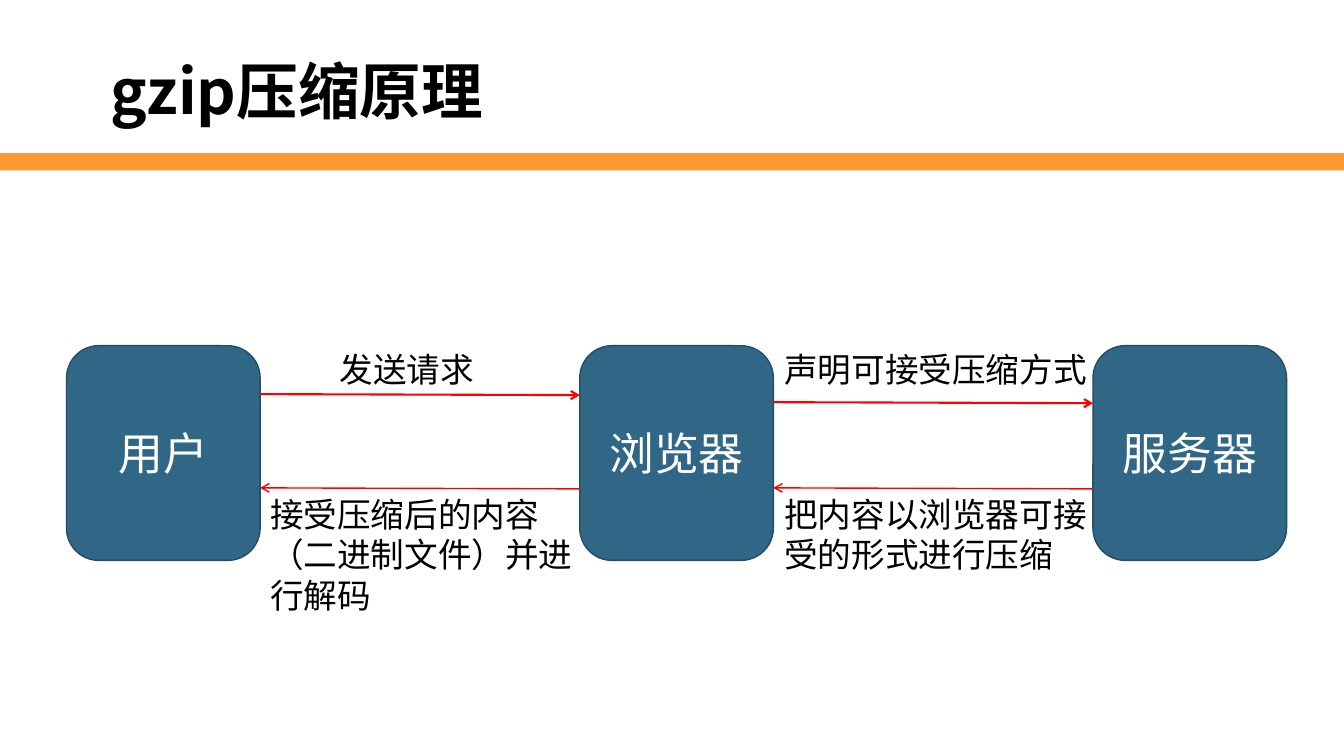
from lxml.etree import SubElement
from pptx import Presentation
from pptx.dml.color import RGBColor
from pptx.enum.shapes import MSO_CONNECTOR, MSO_SHAPE
from pptx.enum.text import MSO_ANCHOR, MSO_AUTO_SIZE, PP_ALIGN
from pptx.oxml.ns import qn
from pptx.util import Inches, Pt

ORANGE = RGBColor(0xFF, 0x99, 0x33)
BLUE = RGBColor(0x30, 0x67, 0x86)
DARK_BLUE = RGBColor(0x24, 0x4C, 0x63)
RED = RGBColor(0xFF, 0x00, 0x00)
BLACK = RGBColor(0x00, 0x00, 0x00)
WHITE = RGBColor(0xFF, 0xFF, 0xFF)
CJK_FONT = "Noto Sans CJK SC"

NODE_LEFT, NODE_TOP = 0.66, 3.43
NODE_WIDTH, NODE_HEIGHT = 1.92, 2.13
COLUMN_PITCH = 5.09
REPLY_TOP = 4.85


def write(shape, text, size, color, latin=CJK_FONT, align=PP_ALIGN.LEFT, bold=False):
    shape.text_frame.text = text
    shape.text_frame.word_wrap = True
    paragraph = shape.text_frame.paragraphs[0]
    paragraph.alignment = align
    run = paragraph.runs[0]
    run.font.name = latin
    run.font.size = Pt(size)
    run.font.bold = bold
    run.font.color.rgb = color
    SubElement(run.font._element, qn("a:ea")).set("typeface", CJK_FONT)


def draw_arrow(start_x, start_y, end_x, end_y, weight):
    arrow = slide.shapes.add_connector(
        MSO_CONNECTOR.STRAIGHT,
        Inches(start_x), Inches(start_y), Inches(end_x), Inches(end_y))
    arrow.line.color.rgb = RED
    arrow.line.width = Pt(weight)
    SubElement(arrow.line._get_or_add_ln(), qn("a:tailEnd")).set("type", "arrow")
    SubElement(arrow._element.spPr, qn("a:effectLst"))


prs = Presentation()
prs.slide_width = Inches(13.33)
prs.slide_height = Inches(7.5)
slide = prs.slides.add_slide(prs.slide_layouts[5])

title = slide.shapes.title
title.left, title.top = Inches(1), Inches(0.56)
title.width, title.height = Inches(11.7), Inches(0.75)
write(title, "gzip压缩原理", 44, BLACK, bold=True)
title.text_frame.auto_size = MSO_AUTO_SIZE.NONE
title.text_frame.vertical_anchor = MSO_ANCHOR.MIDDLE
title.text_frame.paragraphs[0].line_spacing = 0.9

divider = slide.shapes.add_shape(
    MSO_SHAPE.RECTANGLE, 0, Inches(1.52), prs.slide_width, Inches(0.17))
divider.shadow.inherit = False
divider.fill.solid()
divider.fill.fore_color.rgb = ORANGE
divider.line.fill.background()

for column, name in enumerate(["用户", "浏览器", "服务器"]):
    node = slide.shapes.add_shape(
        MSO_SHAPE.ROUNDED_RECTANGLE,
        Inches(NODE_LEFT + column * COLUMN_PITCH), Inches(NODE_TOP),
        Inches(NODE_WIDTH), Inches(NODE_HEIGHT))
    node.shadow.inherit = False
    node.fill.solid()
    node.fill.fore_color.rgb = BLUE
    node.line.color.rgb = DARK_BLUE
    node.line.width = Pt(1)
    write(node, name, 32, WHITE, align=PP_ALIGN.CENTER)
    node.text_frame.vertical_anchor = MSO_ANCHOR.MIDDLE

for column, request_y in enumerate([3.91, 3.99]):
    gap_left = NODE_LEFT + NODE_WIDTH + column * COLUMN_PITCH
    gap_right = NODE_LEFT + (column + 1) * COLUMN_PITCH
    draw_arrow(gap_left, request_y, gap_right, request_y + 0.01, 1.5)
    draw_arrow(gap_right, REPLY_TOP, gap_left, REPLY_TOP - 0.01, 1)

for text, left, top, width, height in [
    ("发送请求", 3.27, 3.41, 1.81, 0.5),
    ("声明可接受压缩方式", 7.68, 3.41, 3.35, 0.5),
    ("接受压缩后的内容（二进制文件）并进行解码", 2.58, REPLY_TOP, 3.26, 1.3),
    ("把内容以浏览器可接受的形式进行压缩", 7.68, REPLY_TOP, 3.26, 0.9),
]:
    label = slide.shapes.add_textbox(
        Inches(left), Inches(top), Inches(width), Inches(height))
    write(label, text, 24, BLACK, latin="Calibri")

prs.save("out.pptx")
